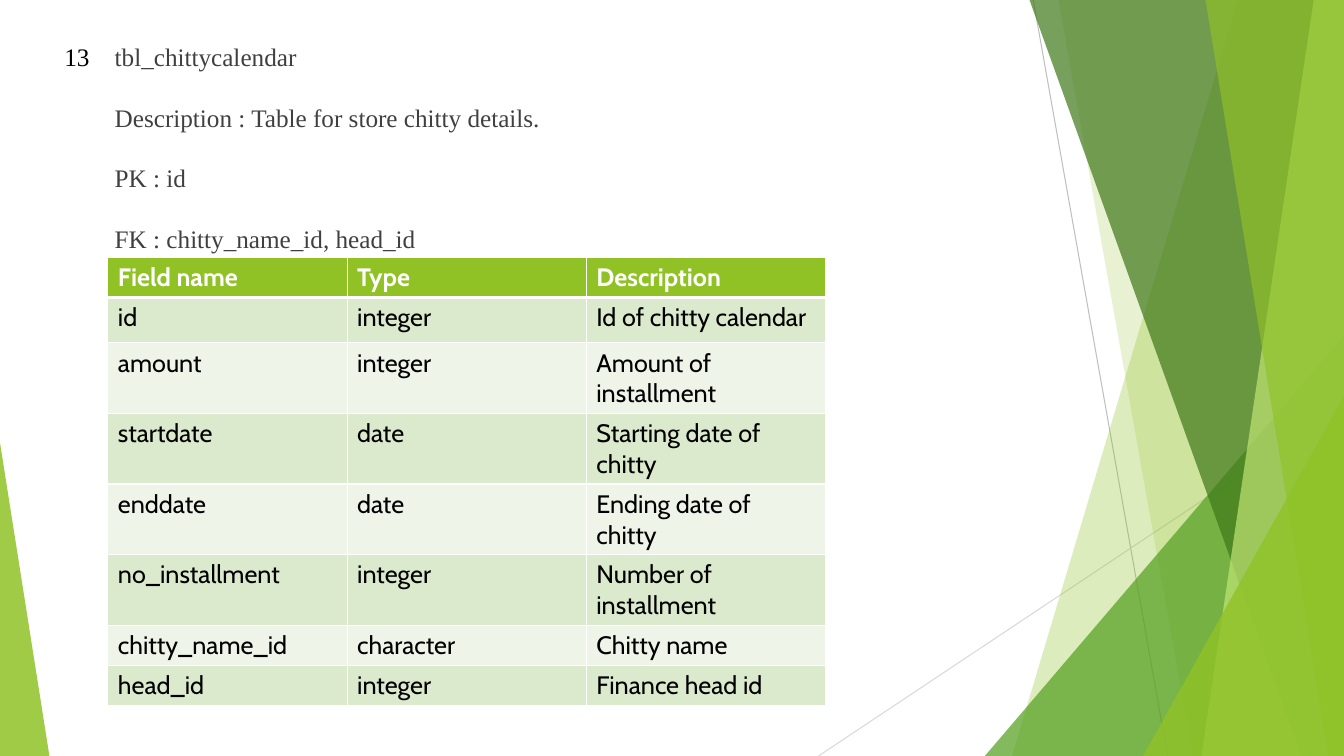
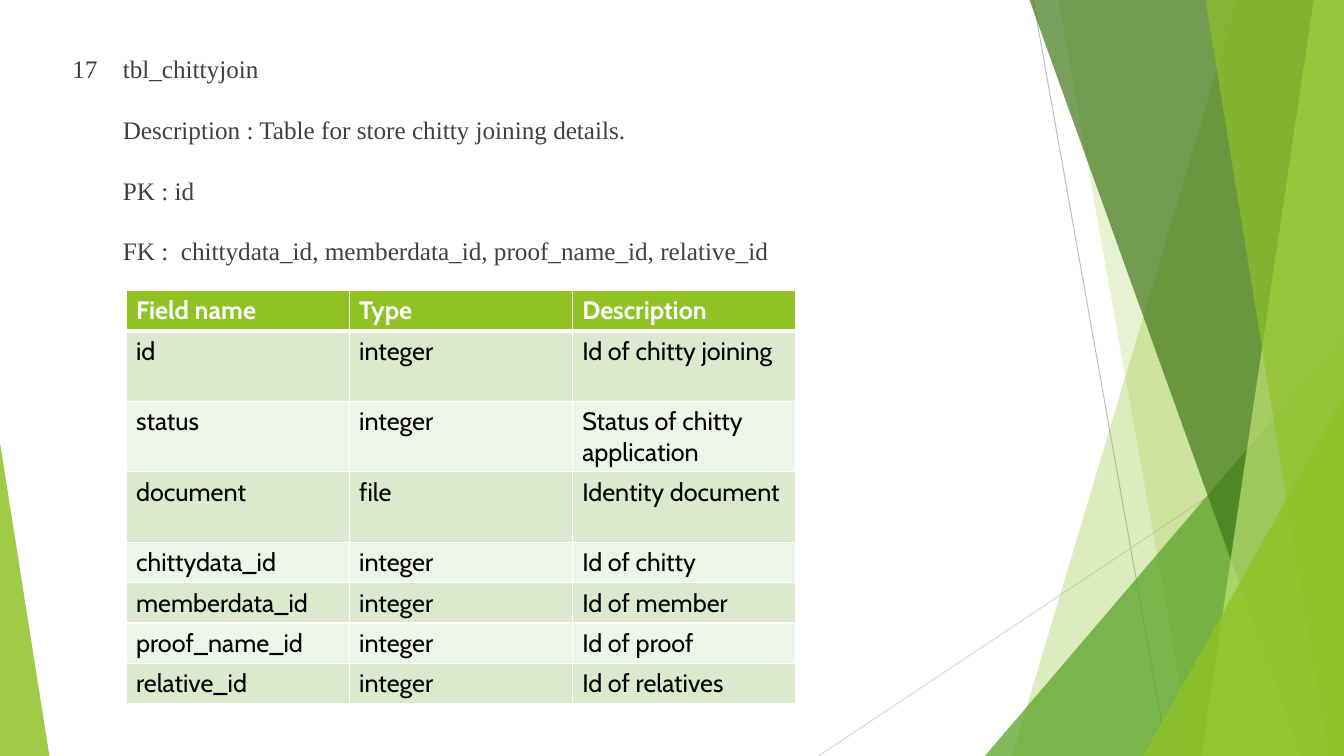
from lxml import etree
from pptx import Presentation
from pptx.dml.color import RGBColor
from pptx.enum.shapes import MSO_CONNECTOR, MSO_SHAPE
from pptx.oxml.ns import qn
from pptx.util import Inches, Pt

STRAIGHT = MSO_CONNECTOR.STRAIGHT
TRIANGLE = MSO_SHAPE.ISOSCELES_TRIANGLE
WIDTH, HEIGHT = Inches(40 / 3), Inches(7.5)
GREEN, LEAF, FOREST, LIME = "90C226", "54A021", "3F7819", "C0E474"
BANDS = ("DBE9CD", "EEF4E8")
WHITE, BLACK, GREY = "FFFFFF", "000000", "404040"
SERIF, SANS = "Times New Roman", "Cabin"
HEADINGS = ("Field name", "Type", "Description")
SINGLE, DOUBLE = 5.33, 9.33

CALENDAR = {
    "number": "13", "number_color": BLACK, "heading_at": (4.05, 4.8),
    "heading": ("tbl_chittycalendar", "Description : Table for store chitty details.",
                "PK : id", "FK : chitty_name_id, head_id"),
    "table_at": (8.03, 34), "table_width": 53.4,
    "heights": (SINGLE, 6) + (DOUBLE,) * 4 + (SINGLE,) * 2,
    "fields": (
        ("id", "integer", "Id of chitty calendar"),
        ("amount", "integer", "Amount of installment"),
        ("startdate", "date", "Starting date of chitty"),
        ("enddate", "date", "Ending date of chitty"),
        ("no_installment", "integer", "Number of installment"),
        ("chitty_name_id", "character", "Chitty name"),
        ("head_id", "integer", "Finance head id"),
    ),
}
JOINING = {
    "number": "17", "number_color": GREY, "heading_at": (4.65, 6.4),
    "heading": ("tbl_chittyjoin", "Description : Table for store chitty joining details.",
                "PK : id", "FK :  chittydata_id, memberdata_id, proof_name_id, relative_id"),
    "table_at": (9.38, 38.4), "table_width": 49.8,
    "heights": (SINGLE,) + (DOUBLE,) * 3 + (SINGLE,) * 4,
    "fields": (
        ("id", "integer", "Id of chitty joining"),
        ("status", "integer", "Status of chitty application"),
        ("document", "file", "Identity document"),
        ("chittydata_id", "integer", "Id of chitty"),
        ("memberdata_id", "integer", "Id of member"),
        ("proof_name_id", "integer", "Id of proof"),
        ("relative_id", "integer", "Id of relatives"),
    ),
}


def across(percent):
    """Turn a percentage of the slide's width into a length."""
    return round(WIDTH * percent / 100)


def down(percent):
    """Turn a percentage of the slide's height into a length."""
    return round(HEIGHT * percent / 100)


def rgb(value):
    """Turn a hex string into a colour."""
    return RGBColor.from_string(value)


def write(paragraph, text, font=SERIF, size=18, color=GREY, bold=False):
    """Append formatted text to a paragraph."""
    run = paragraph.add_run()
    run.text = text
    run.font.name, run.font.size, run.font.bold = font, Pt(size), bold
    run.font.color.rgb = rgb(color)


def tint(shape, color, opacity):
    """Give a shape a see-through fill without outline or shadow."""
    shape.shadow.inherit = False
    shape.line.fill.background()
    shape.fill.solid()
    shape.fill.fore_color.rgb = rgb(color)
    shade = shape.fill._xPr.find(qn("a:solidFill"))[0]
    etree.SubElement(shade, qn("a:alpha")).set("val", str(opacity * 1000))


def add_hairline(slide, start, end, color):
    """Draw a thin line between two points."""
    hairline = slide.shapes.add_connector(
        STRAIGHT, across(start[0]), down(start[1]), across(end[0]), down(end[1]))
    hairline.line.color.rgb = rgb(color)
    hairline.line.width = Pt(0.75)
    etree.SubElement(hairline._element.spPr, qn("a:effectLst"))


def add_ribbon(slide, top, bottom, color, opacity):
    """Fill from a slanted edge to the right side of the slide."""
    outline = slide.shapes.build_freeform(across(top), 0, scale=1.0)
    outline.add_line_segments(
        [(WIDTH, 0), (WIDTH, HEIGHT), (across(bottom), HEIGHT)], close=True)
    tint(outline.convert_to_shape(), color, opacity)


def add_corner(slide, left, right, top, peak, color, opacity):
    """Draw a triangle on the slide's bottom edge with its peak at one side."""
    corner = slide.shapes.add_shape(
        TRIANGLE, across(left), down(top), across(right - left), down(100 - top))
    corner.adjustments[0] = peak
    tint(corner, color, opacity)


def add_backdrop(slide):
    """Draw the green facets shared by all slides."""
    add_hairline(slide, (76.88, 0), (86.88, 100), "BFBFBF")
    add_hairline(slide, (100, 53.73), (60.9, 100), "D9D9D9")
    add_ribbon(slide, 92.1, 75.3, GREEN, 30)
    add_ribbon(slide, 78.75, 88.75, GREEN, 20)
    add_corner(slide, 73.28, 100, 44.4, 1, LEAF, 72)
    add_ribbon(slide, 76.6, 96.83, FOREST, 70)
    add_ribbon(slide, 97.75, 89.4, LIME, 70)
    add_ribbon(slide, 89.7, 98.85, GREEN, 65)
    add_corner(slide, 85.05, 100, 52.4, 1, GREEN, 80)
    add_corner(slide, 0, 3.68, 58.53, 0, GREEN, 85)


def add_heading(slide, entry):
    """Write the table's number, name, description and keys."""
    left, top = entry["heading_at"]
    box = slide.shapes.add_textbox(
        across(left), down(top), across(76.05 - left), down(88 - top))
    frame = box.text_frame
    frame.word_wrap = True
    for index, line in enumerate(entry["heading"]):
        paragraph = frame.add_paragraph() if index else frame.paragraphs[0]
        paragraph.space_before = Pt(11 if index else 10)
        paragraph.line_spacing = 1.5 if index else 1.0
        indent = paragraph._p.get_or_add_pPr()
        indent.set("marL", str(Inches(0.5)))
        if not index:
            indent.set("indent", str(-Inches(0.5)))
            write(paragraph, entry["number"] + "\t", color=entry["number_color"])
        write(paragraph, line)


def add_borders(cell, bottom):
    """Give a cell white borders, with its own width at the bottom."""
    properties = cell._tc.get_or_add_tcPr()
    widths = {"lnL": 1, "lnR": 1, "lnT": 1, "lnB": bottom}
    for index, (side, width) in enumerate(widths.items()):
        border = etree.Element(qn("a:" + side), w=str(Pt(width)))
        fill = etree.SubElement(border, qn("a:solidFill"))
        etree.SubElement(fill, qn("a:srgbClr")).set("val", WHITE)
        properties.insert(index, border)


def add_fields(slide, entry):
    """Draw the table of fields with a green header and banded rows."""
    left, top = entry["table_at"]
    rows = (HEADINGS,) + entry["fields"]
    heights = entry["heights"]
    table = slide.shapes.add_table(
        len(rows), len(HEADINGS), across(left), down(top),
        across(entry["table_width"]), down(sum(heights))).table
    for row, height in zip(table.rows, heights):
        row.height = down(height)
    for row_index, texts in enumerate(rows):
        header = row_index == 0
        fill = GREEN if header else BANDS[(row_index - 1) % 2]
        for column, text in enumerate(texts):
            cell = table.cell(row_index, column)
            cell.fill.solid()
            cell.fill.fore_color.rgb = rgb(fill)
            add_borders(cell, bottom=3 if header else 1)
            write(cell.text_frame.paragraphs[0], text, font=SANS,
                  color=WHITE if header else BLACK, bold=header)


def main():
    """Build and save the presentation."""
    deck = Presentation()
    deck.slide_width, deck.slide_height = WIDTH, HEIGHT
    for entry in (CALENDAR, JOINING):
        slide = deck.slides.add_slide(deck.slide_layouts[6])
        add_backdrop(slide)
        add_heading(slide, entry)
        add_fields(slide, entry)
    deck.save("out.pptx")


if __name__ == "__main__":
    main()
